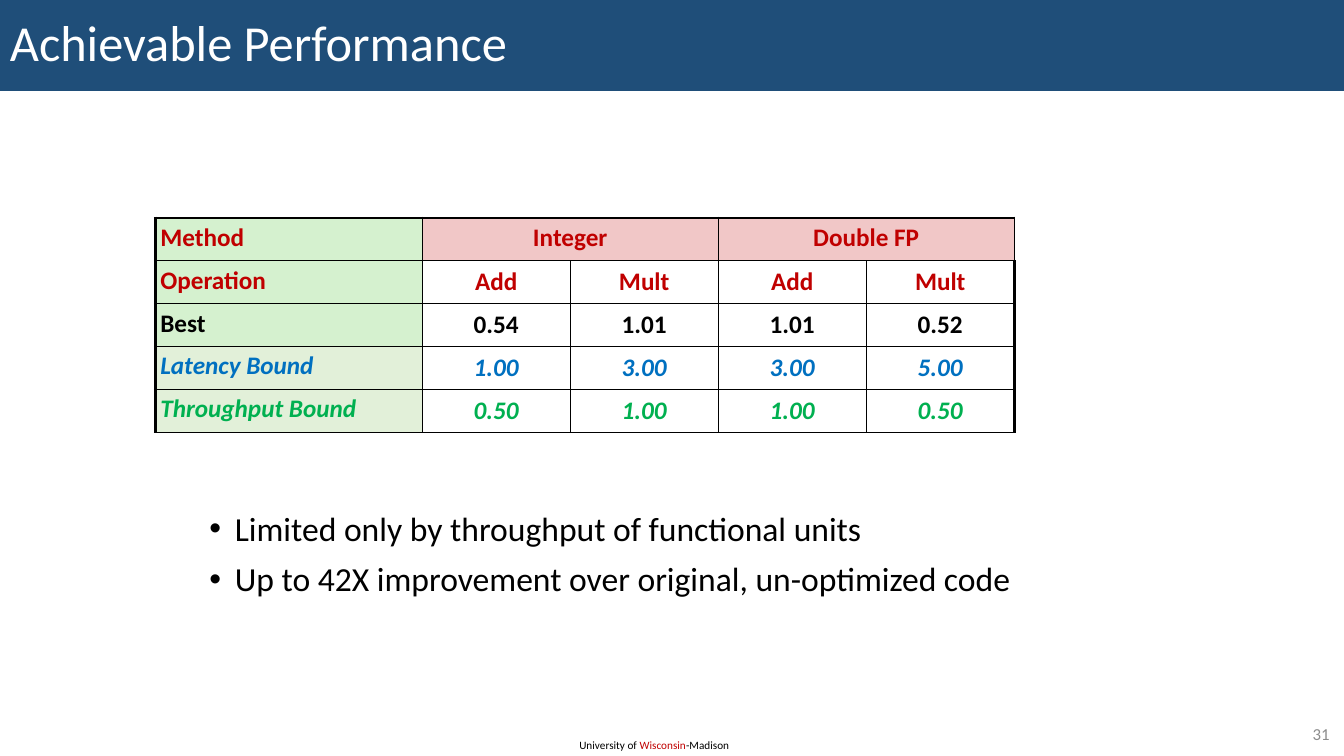
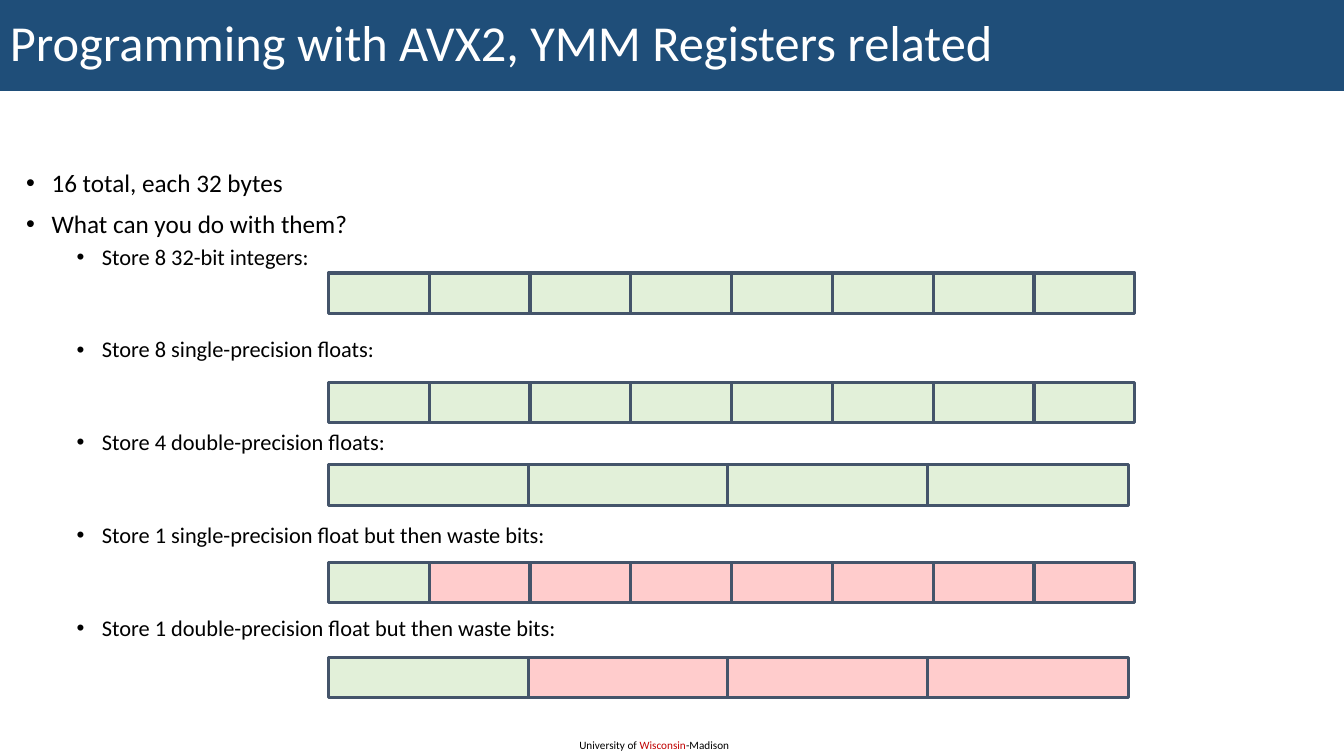
from typing import NamedTuple

import lxml.etree
import pptx
import pptx.chart.data
import pptx.dml.color
import pptx.enum.shapes
import pptx.enum.text
import pptx.oxml.ns
import pptx.util

Cm, Pt = pptx.util.Cm, pptx.util.Pt
ALIGN = pptx.enum.text.PP_ALIGN
ANCHOR = pptx.enum.text.MSO_ANCHOR
qn = pptx.oxml.ns.qn

# Shared look
FONT = "Calibri"
WIDTH, HEIGHT = 33.87, 19.05
BLACK, WHITE, NAVY, GREY = "000000", "FFFFFF", "1F4E79", "8C8C8C"
RED, BLUE, GREEN, SLATE = "C00000", "0070C0", "00B050", "44546A"
MINT, LEAF, ROSE, PINK = "D5F1CF", "E2F0D9", "F1C7C7", "FFCCCC"


class Line(NamedTuple):
    text: str
    size: float
    gap: float = 0
    left: float = 0.64


class Row(NamedTuple):
    label: str
    values: list[str]
    color: str
    fill: str
    italic: bool = False


class Bar(NamedTuple):
    top: float
    count: int
    used: int
    step: float
    width: float


def paint(color: str) -> pptx.dml.color.RGBColor:
    return pptx.dml.color.RGBColor.from_string(color)


def write(frame, text, size=18, color=BLACK, bold=False, italic=False,
          align=ALIGN.LEFT, space=1.0, gap=0, left=None) -> None:
    """Add a paragraph; text is a string or a list of (text, color) pairs."""
    para = frame.paragraphs[0]
    if para.runs:
        para = frame.add_paragraph()
    if left is not None:
        props = para._p.get_or_add_pPr()
        props.set("marL", str(Cm(left)))
        props.set("indent", str(-Cm(0.64)))
        font = lxml.etree.SubElement(props, qn("a:buFont"))
        font.set("typeface", "Arial")
        lxml.etree.SubElement(props, qn("a:buChar")).set("char", "•")
    para.alignment = align
    para.line_spacing = space
    para.space_before = Pt(gap)
    for part, tint in [(text, color)] if isinstance(text, str) else text:
        run = para.add_run()
        run.text = part
        run.font.name = FONT
        run.font.size = Pt(size)
        run.font.bold = bold
        run.font.italic = italic
        run.font.color.rgb = paint(tint)


def label(slide, left: float, top: float, width: float, height: float):
    frame = slide.shapes.add_textbox(
        Cm(left), Cm(top), Cm(width), Cm(height)).text_frame
    frame.word_wrap = True
    return frame


def block(slide, left: float, top: float, width: float, height: float,
          fill: str, edge: str | None = None):
    shape = slide.shapes.add_shape(
        pptx.enum.shapes.MSO_SHAPE.RECTANGLE,
        Cm(left), Cm(top), Cm(width), Cm(height))
    shape.shadow.inherit = False
    shape.fill.solid()
    shape.fill.fore_color.rgb = paint(fill)
    if edge:
        shape.line.color.rgb = paint(edge)
        shape.line.width = Pt(2.25)
    else:
        shape.line.fill.background()
    return shape


def start(deck, title: str):
    """Add a slide with the title band and the footer."""
    slide = deck.slides.add_slide(deck.slide_layouts[6])
    frame = label(slide, 14.35, 18.49, 4.37, 0.61)
    write(frame, [("University of ", BLACK), ("Wisconsin", RED),
                  ("-Madison", BLACK)], size=8)
    frame = block(slide, 0, 0, WIDTH, 2.29, NAVY).text_frame
    frame.word_wrap = True
    frame.vertical_anchor = ANCHOR.MIDDLE
    write(frame, title, size=36, color=WHITE, space=0.9)
    return slide


def bullets(frame, lines: list[Line]) -> None:
    for line in lines:
        write(frame, line.text, size=line.size, gap=line.gap,
              left=line.left, space=0.9)


def border(cell, **widths: float) -> None:
    props = cell._tc.get_or_add_tcPr()
    for side in "LRTB":
        line = lxml.etree.SubElement(props, qn(f"a:ln{side}"))
        line.set("w", str(Pt(widths.get(side, 1))))
        solid = lxml.etree.SubElement(line, qn("a:solidFill"))
        lxml.etree.SubElement(solid, qn("a:srgbClr")).set("val", BLACK)


def grid(slide, rows: list[Row]) -> None:
    count = len(rows[0].values) + 1
    first, other, high = 6.73, 3.73, 1.08
    table = slide.shapes.add_table(
        len(rows), count, Cm(3.91), Cm(5.49),
        Cm(first + other * (count - 1)), Cm(high * len(rows))).table
    table.first_row = table.horz_banding = False
    for col, column in enumerate(table.columns):
        column.width = Cm(other if col else first)
    for top, row in enumerate(rows):
        table.rows[top].height = Cm(high)
        for col, text in enumerate([row.label, *row.values]):
            cell = table.cell(top, col)
            # Heavy lines on the left, top and right of the table
            border(cell, L=1 if col else 2.25, T=1 if top else 2.25,
                   R=2.25 if col == count - 1 else 1)
            fill = row.fill if col == 0 else ROSE if top == 0 else WHITE
            cell.fill.solid()
            cell.fill.fore_color.rgb = paint(fill)
            cell.margin_left = cell.margin_right = Cm(0.13)
            cell.margin_top = cell.margin_bottom = Cm(0.13)
            if col and top:
                cell.vertical_anchor = ANCHOR.MIDDLE
            if text:
                write(cell.text_frame, text, color=row.color, bold=True,
                      italic=row.italic, space=0.95,
                      align=ALIGN.CENTER if col else ALIGN.LEFT)
    for col in range(1, count, 2):
        table.cell(0, col).merge(table.cell(0, col + 1))


def speed(deck) -> None:
    slide = start(deck, "Achievable Performance")
    bullets(label(slide, 5.03, 12.78, 23.09, 5.21), [
        Line("Limited only by throughput of functional units", 24),
        Line("Up to 42X improvement over original, un-optimized code", 24, 10),
    ])
    grid(slide, [
        Row("Method", ["Integer", "", "Double FP", ""], RED, MINT),
        Row("Operation", ["Add", "Mult"] * 2, RED, MINT),
        Row("Best", ["0.54", "1.01", "1.01", "0.52"], BLACK, MINT),
        Row("Latency Bound", ["1.00", "3.00", "3.00", "5.00"],
            BLUE, LEAF, True),
        Row("Throughput Bound", ["0.50", "1.00", "1.00", "0.50"],
            GREEN, LEAF, True),
    ])
    # Slide number
    frame = label(slide, 31.83, 18.11, 1.93, 0.74)
    frame.vertical_anchor = ANCHOR.MIDDLE
    write(frame, "31", size=12, color=GREY, align=ALIGN.RIGHT)


def lanes(deck) -> None:
    slide = start(deck, "Programming with AVX2, YMM Registers related")
    uses = [
        "Store 8 32-bit integers:",
        "Store 8 single-precision floats:",
        "Store 4 double-precision floats:",
        "Store 1 single-precision float but then waste bits:",
        "Store 1 double-precision float but then waste bits:",
    ]
    bullets(label(slide, 0.41, 4.17, 33.22, 13.69), [
        Line("16 total, each 32 bytes", 18),
        Line("What can you do with them?", 18, 10),
        # Room for one register below each use
        *(Line(use, 16, 49 if spot else 5, 1.91)
          for spot, use in enumerate(uses)),
    ])
    # Registers: used lanes are green, wasted ones pink
    eight, four = (2.54, 2.54), (5.03, 5.08)
    for bar in [Bar(6.88, 8, 8, *eight), Bar(9.63, 8, 8, *eight),
                Bar(11.71, 4, 4, *four), Bar(14.17, 8, 1, *eight),
                Bar(16.56, 4, 1, *four)]:
        for lane in range(bar.count):
            block(slide, 8.28 + lane * bar.step, bar.top, bar.width, 1.02,
                  LEAF if lane < bar.used else PINK, SLATE)


def main() -> None:
    deck = pptx.Presentation()
    deck.slide_width, deck.slide_height = Cm(WIDTH), Cm(HEIGHT)
    speed(deck)
    lanes(deck)
    deck.save("out.pptx")


if __name__ == "__main__":
    main()
